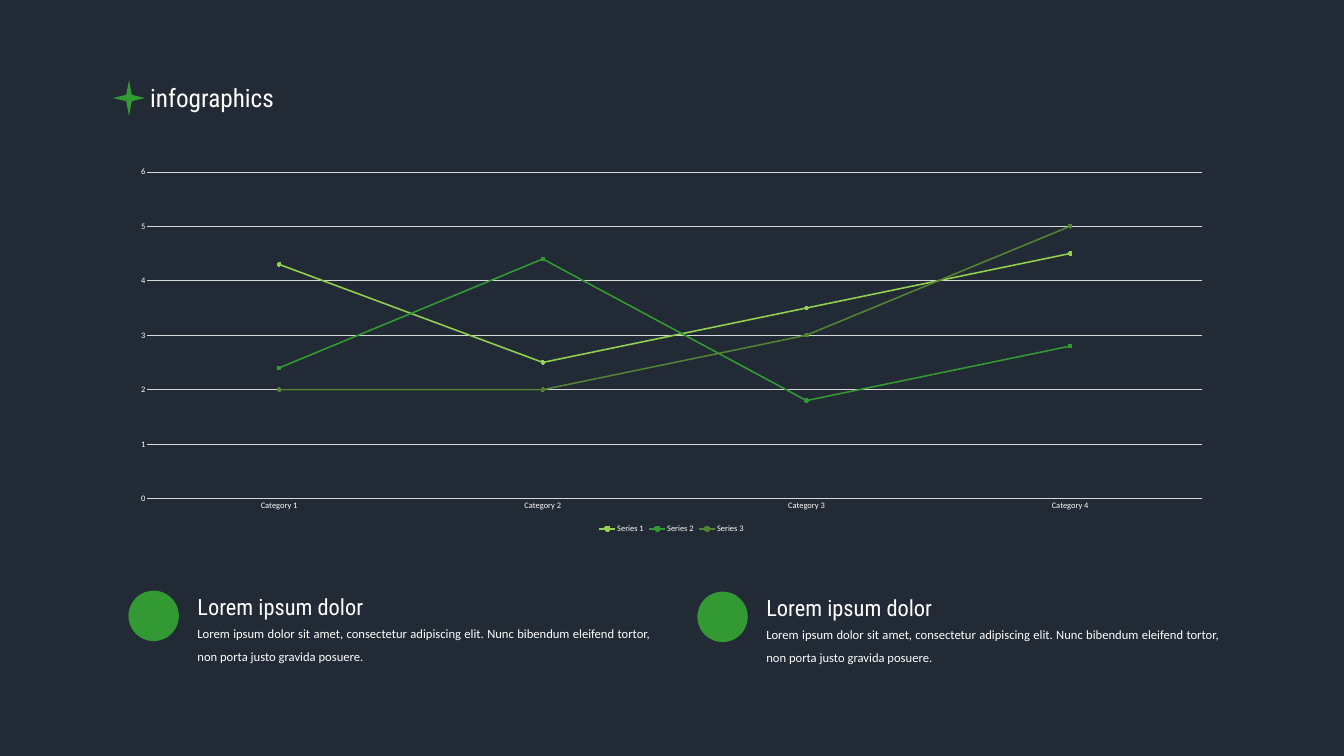
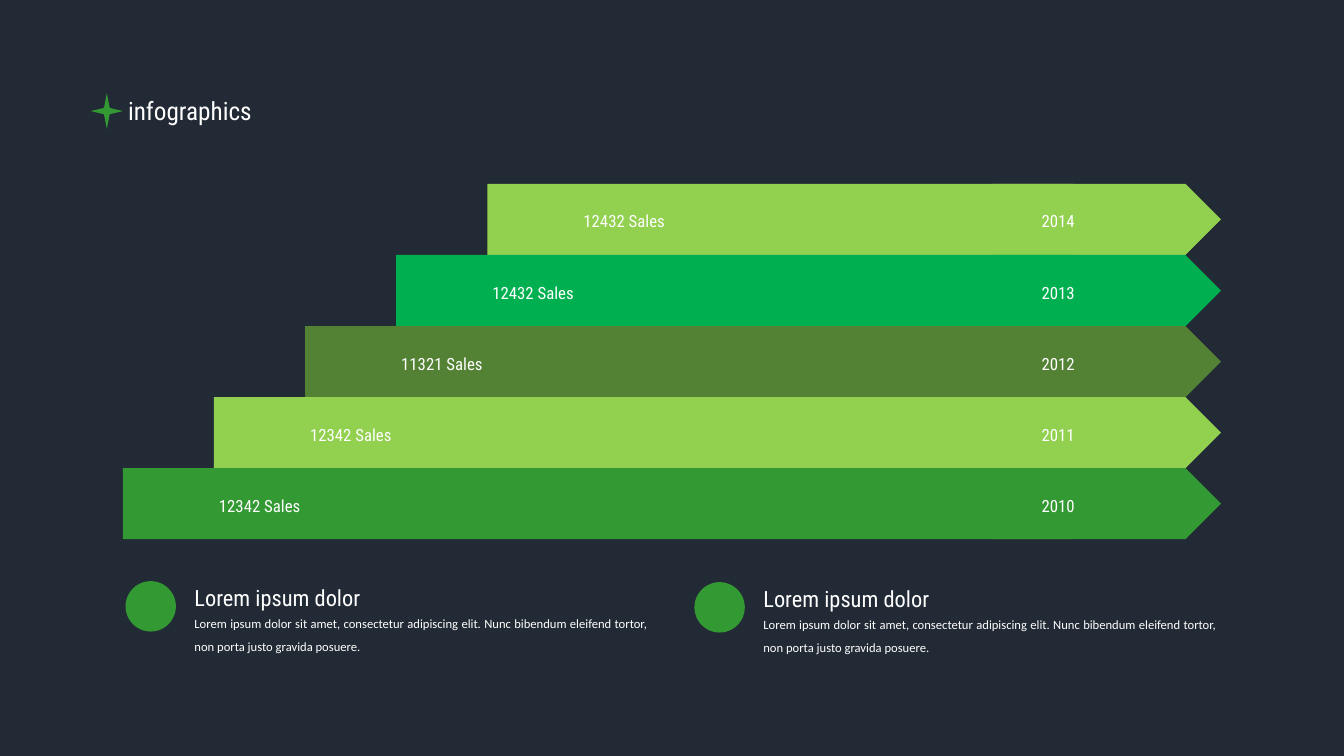
from dataclasses import dataclass

import pptx
import pptx.chart.data
import pptx.dml.color
import pptx.enum.chart
import pptx.enum.shapes
import pptx.enum.text
import pptx.util

SHAPE = pptx.enum.shapes.MSO_SHAPE
ALIGN = pptx.enum.text.PP_ALIGN
TITLE_ONLY = 5


@dataclass(frozen=True)
class Theme:
    background: str = "222A35"
    text: str = "FFFFFF"
    rule: str = "D9D9D9"
    green: str = "339933"
    lime: str = "92D050"
    olive: str = "548235"
    emerald: str = "00B050"
    display_font: str = "Roboto Condensed"
    body_font: str = "Calibri"
    title_size: int = 36
    heading_size: int = 32
    label_size: int = 24
    body_size: int = 18
    chart_size: int = 12


THEME = Theme()
SLIDE_WIDTH = pptx.util.Inches(26.67)
SLIDE_HEIGHT = pptx.util.Inches(15)

FEATURE_HEADING = "Lorem ipsum dolor"
FEATURE_BODY = ("Lorem ipsum dolor sit amet, consectetur adipiscing elit. "
                "Nunc bibendum eleifend tortor, non porta justo gravida posuere.")
SERIES = [
    ("Series 1", (4.3, 2.5, 3.5, 4.5), THEME.lime),
    ("Series 2", (2.4, 4.4, 1.8, 2.8), THEME.green),
    ("Series 3", (2, 2, 3, 5), THEME.olive),
]
YEARLY_SALES = [
    ("2014", "12432 Sales", THEME.lime),
    ("2013", "12432 Sales", THEME.emerald),
    ("2012", "11321 Sales", THEME.olive),
    ("2011", "12342 Sales", THEME.lime),
    ("2010", "12342 Sales", THEME.green),
]


def rgb(color):
    return pptx.dml.color.RGBColor.from_string(color)


def area(left, top, width, height):
    """Turn percentages of the slide into left, top, width and height."""
    return (round(SLIDE_WIDTH * left / 100), round(SLIDE_HEIGHT * top / 100),
            round(SLIDE_WIDTH * width / 100), round(SLIDE_HEIGHT * height / 100))


def style_font(font, size, name=THEME.body_font):
    font.name = name
    font.size = pptx.util.Pt(size)
    font.color.rgb = rgb(THEME.text)


def add_text(slide, text, place, size, font=THEME.display_font,
             align=ALIGN.LEFT, spacing=1.0, holder=None):
    """Write text in the given placeholder, or in a new text box."""
    box = holder or slide.shapes.add_textbox(*place)
    box.left, box.top, box.width, box.height = place
    frame = box.text_frame
    frame.word_wrap = True
    frame.auto_size = pptx.enum.text.MSO_AUTO_SIZE.SHAPE_TO_FIT_TEXT
    frame.vertical_anchor = pptx.enum.text.MSO_ANCHOR.TOP
    paragraph = frame.paragraphs[0]
    paragraph.alignment = align
    paragraph.line_spacing = spacing
    run = paragraph.add_run()
    run.text = text
    style_font(run.font, size, font)


def add_block(slide, kind, place, color):
    block = slide.shapes.add_shape(kind, *place)
    block.shadow.inherit = False
    block.fill.solid()
    block.fill.fore_color.rgb = rgb(color)
    block.line.fill.background()


def add_heading(slide, left, top):
    """Title with its star on the left."""
    star_width, height = 2.4, 4.73
    add_text(slide, "infographics", area(left + star_width, top, 14.89, height),
             THEME.title_size, holder=slide.shapes.title)
    add_block(slide, SHAPE.STAR_4_POINT, area(left, top, star_width, height),
              THEME.green)


def add_feature(slide, left, top):
    text_left = left + 4.76
    add_text(slide, FEATURE_BODY, area(text_left, top + 3.33, 34.46, 6.73),
             THEME.body_size, font=THEME.body_font, align=ALIGN.JUSTIFY,
             spacing=1.5)
    add_block(slide, SHAPE.OVAL, area(left, top, 3.75, 6.67), THEME.green)
    add_text(slide, FEATURE_HEADING, area(text_left, top, 14.89, 4.27),
             THEME.heading_size)


def add_features(slide, left, top):
    add_feature(slide, left, top)
    add_feature(slide, left + 42.33, top + 0.13)


def style_axis(axis):
    style_font(axis.tick_labels.font, THEME.chart_size)
    axis.major_tick_mark = pptx.enum.chart.XL_TICK_MARK.NONE
    axis.minor_tick_mark = pptx.enum.chart.XL_TICK_MARK.NONE


def style_line(line, color, width):
    line.color.rgb = rgb(color)
    line.width = pptx.util.Pt(width)


def add_series_chart(slide, place):
    data = pptx.chart.data.CategoryChartData()
    data.categories = [f"Category {number}" for number in range(1, 5)]
    for name, values, _ in SERIES:
        data.add_series(name, values)
    chart = slide.shapes.add_chart(
        pptx.enum.chart.XL_CHART_TYPE.LINE_MARKERS, *place, data).chart
    style_font(chart.font, THEME.chart_size)
    chart.has_title = False
    chart.has_legend = True
    chart.legend.position = pptx.enum.chart.XL_LEGEND_POSITION.BOTTOM
    chart.legend.include_in_layout = False
    style_font(chart.legend.font, THEME.chart_size)

    categories, values = chart.category_axis, chart.value_axis
    style_axis(categories)
    style_line(categories.format.line, THEME.rule, 0.75)
    style_axis(values)
    values.minimum_scale, values.maximum_scale, values.major_unit = 0, 6, 1
    values.format.line.fill.background()
    values.has_major_gridlines = True
    style_line(values.major_gridlines.format.line, THEME.rule, 0.75)

    chart.plots[0].vary_by_categories = False
    for series, (_, _, color) in zip(chart.plots[0].series, SERIES):
        series.smooth = False
        style_line(series.format.line, color, 2.25)
        marker = series.marker
        marker.style = pptx.enum.chart.XL_MARKER_STYLE.CIRCLE
        marker.size = 5
        marker.format.fill.solid()
        marker.format.fill.fore_color.rgb = rgb(color)
        style_line(marker.format.line, color, 0.75)


def add_sales_steps(slide):
    """Stack one arrow a year, each starting a step further left."""
    top, height = 24.33, 9.4
    left, step, right = 36.26, 6.78, 79.86
    for row, (year, sales, color) in enumerate(YEARLY_SALES):
        bar_left, bar_top = left - row * step, top + row * height
        label_top = bar_top + 3.27
        add_block(slide, SHAPE.RECTANGLE,
                  area(bar_left, bar_top, right - bar_left, height), color)
        add_block(slide, SHAPE.PENTAGON,
                  area(73.83, bar_top, 17.02, height), color)
        add_text(slide, sales, area(bar_left + step, label_top, 13.76, 4.8),
                 THEME.label_size)
        add_text(slide, year, area(77.13, label_top, 10.61, 4.8),
                 THEME.label_size)


def add_slide(deck):
    return deck.slides.add_slide(deck.slide_layouts[TITLE_ONLY])


def main():
    deck = pptx.Presentation()
    deck.slide_width, deck.slide_height = SLIDE_WIDTH, SLIDE_HEIGHT
    backdrop = deck.slide_master.background.fill
    backdrop.solid()
    backdrop.fore_color.rgb = rgb(THEME.background)

    trends = add_slide(deck)
    add_heading(trends, 8.4, 10.6)
    add_features(trends, 9.56, 78.13)
    add_series_chart(trends, area(8.85, 21.07, 82.23, 49.8))

    sales = add_slide(deck)
    add_heading(sales, 6.75, 12.33)
    add_features(sales, 9.34, 76.87)
    add_sales_steps(sales)

    deck.save("out.pptx")


if __name__ == "__main__":
    main()
